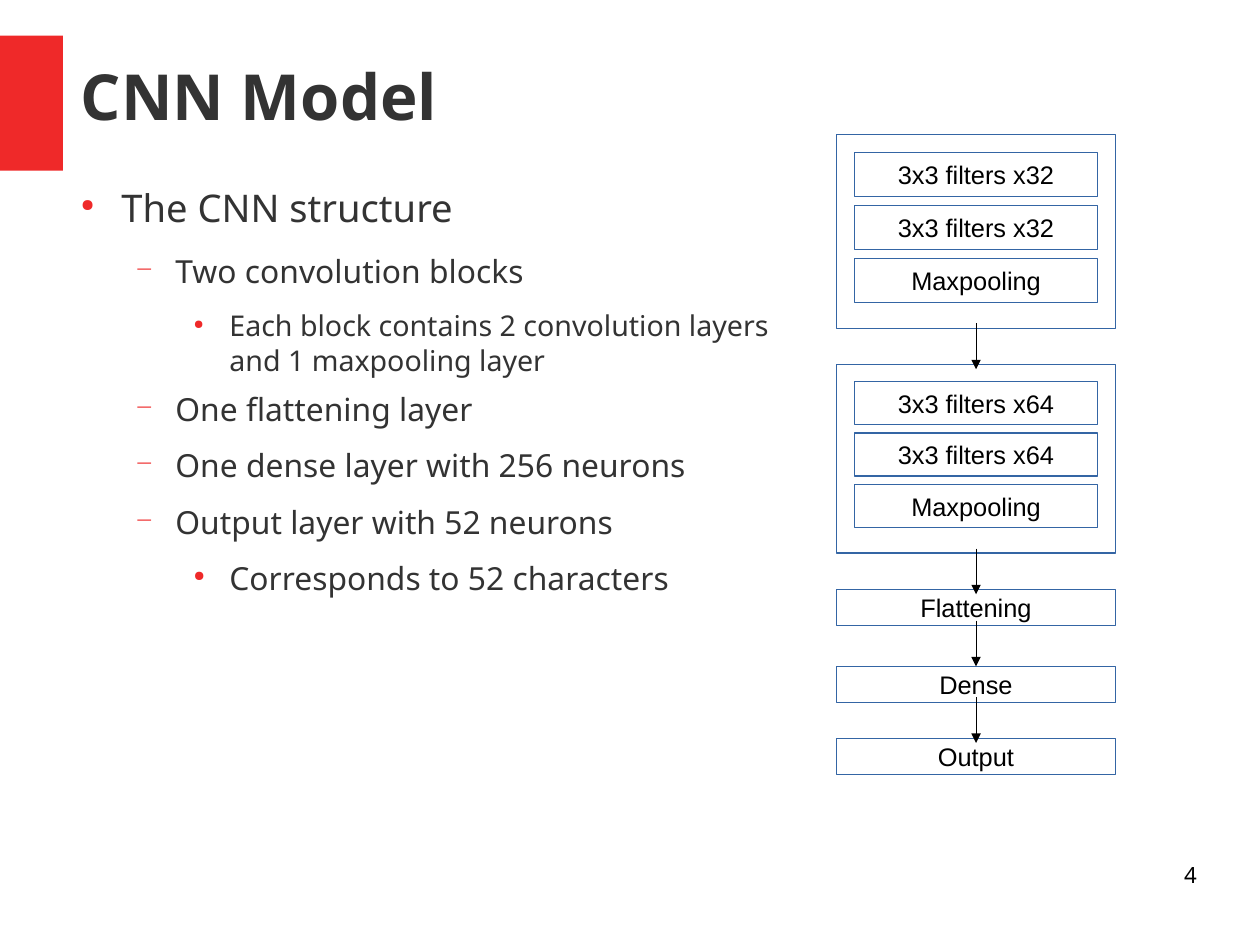
"""Build the slide that outlines the CNN model."""
from dataclasses import dataclass

import lxml.etree
import pptx
import pptx.dml.color
import pptx.enum.shapes
import pptx.enum.text
import pptx.oxml.ns
import pptx.util

Pt = pptx.util.Pt
qn = pptx.oxml.ns.qn
Color = pptx.dml.color.RGBColor
Align = pptx.enum.text.PP_ALIGN
Anchor = pptx.enum.text.MSO_ANCHOR
Form = pptx.enum.shapes.MSO_SHAPE

RED = Color(0xEF, 0x29, 0x29)
GRAY = Color(0x33, 0x33, 0x33)
BLUE = Color(0x34, 0x65, 0xA4)
BLACK = Color(0, 0, 0)
WHITE = Color(255, 255, 255)
SANS = "Noto Sans"
ARIAL = "Arial"
SYMBOL = "OpenSymbol"

LEFT, WIDTH, INSET = 527, 175.7, 11.2
BAR = 22.5
DROP = 28.8


@dataclass(frozen=True)
class Level:
    mark: str
    scale: int
    left: float
    hang: float
    after: float


@dataclass(frozen=True)
class Point:
    level: int
    size: int
    text: str


@dataclass(frozen=True)
class Block:
    top: float
    height: float
    first: float
    step: float
    row: float
    count: int


LEVELS = (
    Level("●", 45, 34, 25.5, 14.1),
    Level("−", 75, 68, 25.5, 11.3),
    Level("●", 45, 102, 22.5, 8.4),
)
POINTS = (
    Point(0, 24, "The CNN structure"),
    Point(1, 20, "Two convolution blocks"),
    Point(2, 18, "Each block contains 2 convolution layers and 1 maxpooling layer"),
    Point(1, 20, "One flattening layer"),
    Point(1, 20, "One dense layer with 256 neurons"),
    Point(1, 20, "Output layer with 52 neurons"),
    Point(2, 20, "Corresponds to 52 characters"),
)
BLOCKS = (
    Block(84.9, 121.8, 96.2, 33.3, 27.7, 32),
    Block(229.6, 118.8, 240.3, 32.5, 27.1, 64),
)
STAGES = {"Flattening": 371.5, "Dense": 419.8, "Output": 465.2}
ARROWS = (203.8, 345.6, 391, 439.2)


def write(para, text: str, size: float, color: Color, face: str, bold: bool = False) -> None:
    run = para.add_run()
    run.text = text
    run.font.size = Pt(size)
    run.font.name = face
    run.font.bold = bold
    run.font.color.rgb = color


def strip(frame) -> None:
    frame.margin_left = frame.margin_right = 0
    frame.margin_top = frame.margin_bottom = 0
    frame.word_wrap = True


def draw_box(slide, form, left: float, top: float, width: float, height: float,
             text: str = "", fill: Color = WHITE, edge: Color | None = BLUE) -> None:
    box = slide.shapes.add_shape(form, Pt(left), Pt(top), Pt(width), Pt(height))
    box.shadow.inherit = False
    box.fill.solid()
    box.fill.fore_color.rgb = fill
    if edge is None:
        box.line.fill.background()
    else:
        box.line.color.rgb = edge
        box.line.width = Pt(0)
    if text:
        frame = box.text_frame
        frame.word_wrap = False
        frame.vertical_anchor = Anchor.MIDDLE
        para = frame.paragraphs[0]
        para.alignment = Align.CENTER
        write(para, text, 16, BLACK, ARIAL)


def draw_block(slide, block: Block) -> None:
    draw_box(slide, Form.FLOWCHART_PROCESS, LEFT, block.top, WIDTH, block.height)
    conv = f"3x3 filters x{block.count}"
    for index, text in enumerate((conv, conv, "Maxpooling")):
        draw_box(slide, Form.RECTANGLE, LEFT + INSET, block.first + index * block.step,
                 WIDTH - 2 * INSET, block.row, text)


def draw_arrow(slide, top: float) -> None:
    mid = Pt(LEFT + WIDTH / 2)
    kind = pptx.enum.shapes.MSO_CONNECTOR.STRAIGHT
    arrow = slide.shapes.add_connector(kind, mid, Pt(top), mid, Pt(top + DROP))
    arrow.line.color.rgb = BLACK
    arrow.line.width = Pt(0)
    node = arrow._element
    lxml.etree.SubElement(arrow.line._get_or_add_ln(), qn("a:tailEnd"), type="triangle")
    lxml.etree.SubElement(node.spPr, qn("a:effectLst"))
    node.remove(node.find(qn("p:style")))


def add_point(para, point: Point) -> None:
    level = LEVELS[point.level]
    para.level = point.level
    props = para._p.get_or_add_pPr()
    props.set("marL", str(Pt(level.left)))
    props.set("indent", str(-Pt(level.hang)))
    tint = lxml.etree.SubElement(props, qn("a:buClr"))
    lxml.etree.SubElement(tint, qn("a:srgbClr"), val=str(RED))
    lxml.etree.SubElement(props, qn("a:buSzPct"), val=str(level.scale * 1000))
    lxml.etree.SubElement(props, qn("a:buFont"), typeface=SYMBOL)
    lxml.etree.SubElement(props, qn("a:buChar"), char=level.mark)
    para.space_before = Pt(0)
    para.space_after = Pt(level.after)
    write(para, point.text, point.size, GRAY, SANS)


def add_title(slide) -> None:
    title = slide.shapes.title
    title.left, title.top = Pt(51), Pt(23.8)
    title.width, title.height = Pt(702.7), Pt(72.7)
    frame = title.text_frame
    strip(frame)
    frame.auto_size = pptx.enum.text.MSO_AUTO_SIZE.NONE
    frame.vertical_anchor = Anchor.MIDDLE
    para = frame.paragraphs[0]
    para.alignment = Align.LEFT
    write(para, "CNN Model", 40, GRAY, SANS, True)


def add_text(slide, left: float, top: float, width: float, height: float):
    box = slide.shapes.add_textbox(Pt(left), Pt(top), Pt(width), Pt(height))
    strip(box.text_frame)
    return box.text_frame


def main() -> None:
    deck = pptx.Presentation()
    deck.slide_width, deck.slide_height = Pt(793.7), Pt(595.3)
    slide = deck.slides.add_slide(deck.slide_layouts.get_by_name("Title Only"))
    draw_box(slide, Form.RECTANGLE, 0, BAR, 39.7, 85, fill=RED, edge=None)
    add_title(slide)

    body = add_text(slide, 42.5, 116, 442, 448)
    for index, point in enumerate(POINTS):
        add_point(body.add_paragraph() if index else body.paragraphs[0], point)

    for block in BLOCKS:
        draw_block(slide, block)
    for text, top in STAGES.items():
        draw_box(slide, Form.FLOWCHART_PROCESS, LEFT, top, WIDTH, 22.7, text)
    for top in ARROWS:
        draw_arrow(slide, top)

    para = add_text(slide, 569, 542.4, 185, 41).paragraphs[0]
    para.alignment = Align.RIGHT
    write(para, "4", 14, BLACK, SANS)
    deck.save("out.pptx")


if __name__ == "__main__":
    main()
